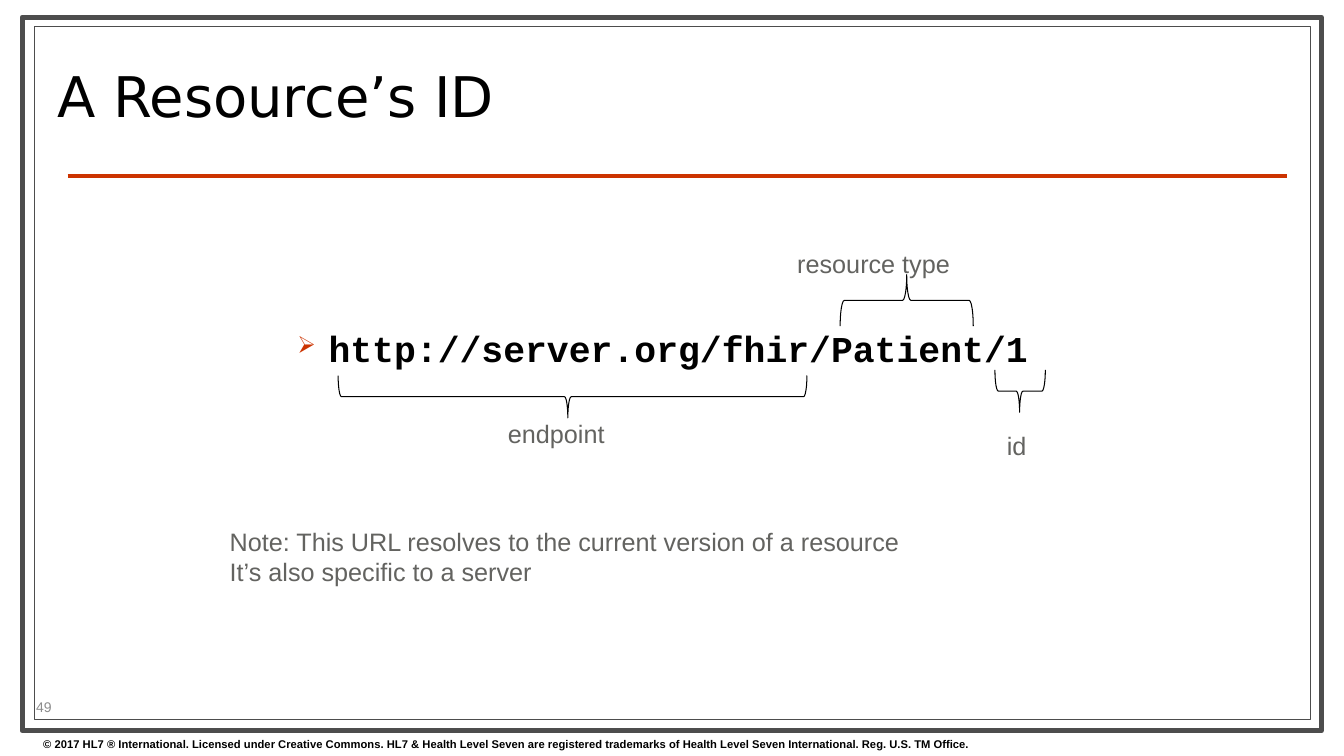
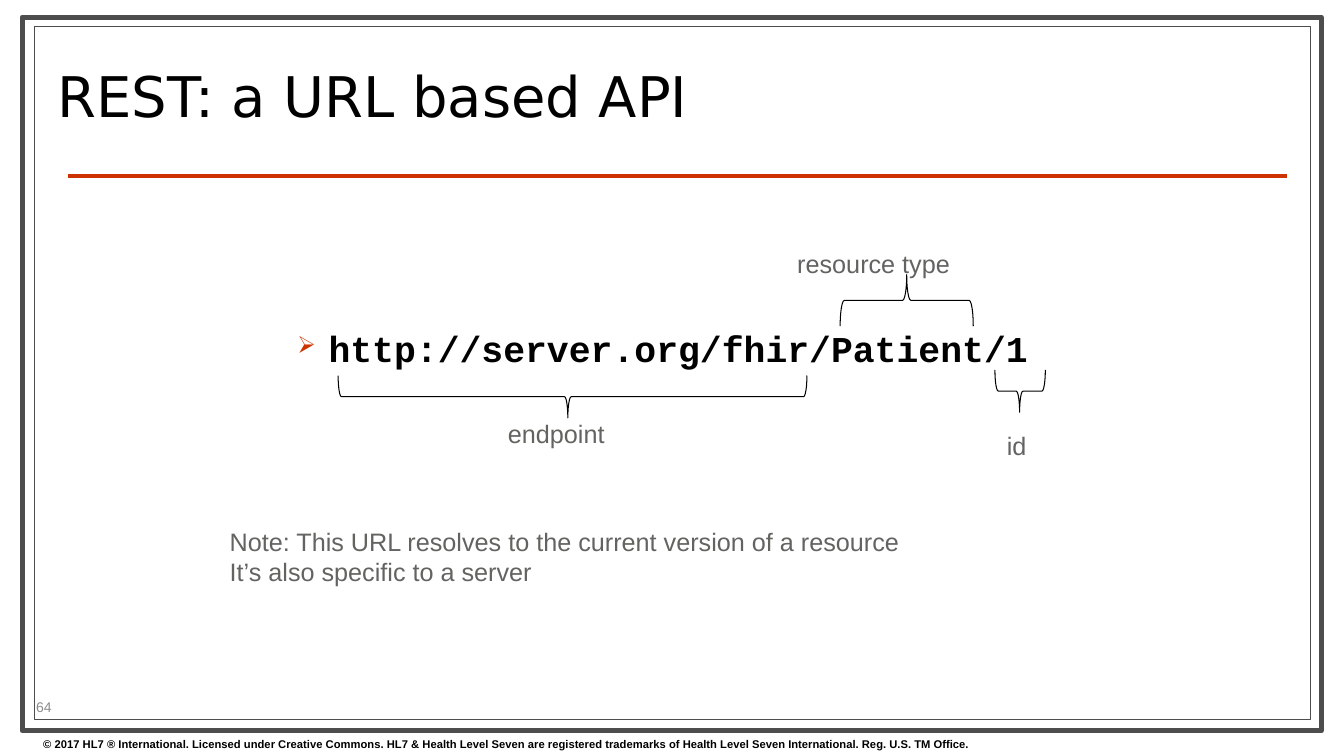
from lxml import etree
from pptx import Presentation
from pptx.dml.color import RGBColor
from pptx.enum.shapes import MSO_CONNECTOR, MSO_SHAPE
from pptx.enum.text import MSO_ANCHOR
from pptx.oxml import parse_xml
from pptx.oxml.ns import qn
from pptx.util import Inches, Pt

BLACK = RGBColor(0x00, 0x00, 0x00)
WHITE = RGBColor(0xFF, 0xFF, 0xFF)
FRAME_GRAY = RGBColor(0x4D, 0x4D, 0x4D)
LABEL_GRAY = RGBColor(0x63, 0x63, 0x60)
NUMBER_GRAY = RGBColor(0x8C, 0x8C, 0x8C)
ACCENT = RGBColor(0xCC, 0x33, 0x00)
RECTANGLE, BRACE = MSO_SHAPE.RECTANGLE, MSO_SHAPE.LEFT_BRACE
STRAIGHT = MSO_CONNECTOR.STRAIGHT
TOP, MIDDLE = MSO_ANCHOR.TOP, MSO_ANCHOR.MIDDLE

TITLES = [("A Resource’s ID", "49"), ("REST: a URL based API", "64")]
COPYRIGHT = (
    "© 2017 HL7 ® International. Licensed under Creative Commons. "
    "HL7 & Health Level Seven are registered trademarks of "
    "Health Level Seven International. Reg. U.S. TM Office."
)
URL = "http://server.org/fhir/Patient/1"
NOTE = [
    "Note: This URL resolves to the current version of a resource",
    "It’s also specific to a server",
]

# All areas are left, top, width, height in percent of the slide
FRAMES = [((1.65, 2.27, 96.68, 94.4), 3.5), ((2.55, 3.47, 94.95, 91.73), 0.75)]
POINT_UP, POINT_DOWN = (90, 0.5), (270, 0.49)
BRACES = [
    ((25.16, 49.67, 34.88, 5.6), POINT_DOWN),
    ((62.51, 36.33, 9.9, 6.8), POINT_UP),
    ((74.03, 48.93, 3.75, 5.6), POINT_DOWN),
]
LABELS = [
    ((37.05, 54.67, 8.78, 5.33), ["endpoint"]),
    ((58.58, 32.13, 12.98, 5.33), ["resource type"]),
    ((74.18, 56.27, 3, 5.33), ["id"]),
    ((16.35, 68.93, 51.83, 9.47), NOTE),
]
BULLET = (
    '<a:buClr {ns}><a:srgbClr val="CC3300"/></a:buClr>',
    '<a:buSzPct {ns} val="65000"/>',
    '<a:buChar {ns} char="➢"/>',
)
DRAWING_NS = 'xmlns:a="http://schemas.openxmlformats.org/drawingml/2006/main"'

prs = Presentation()
prs.slide_width, prs.slide_height = Inches(13.33), Inches(7.5)


def place(left, top, width, height):
    """Turn percent of the slide into lengths."""
    across, down = prs.slide_width / 100, prs.slide_height / 100
    return round(left * across), round(top * down), round(width * across), round(height * down)


def add_text(slide, area, lines, size, color, font="Arial", bold=False, anchor=TOP, wrap=True):
    frame = slide.shapes.add_textbox(*place(*area)).text_frame
    frame.word_wrap = wrap
    frame.vertical_anchor = anchor
    for index, line in enumerate(lines):
        paragraph = frame.add_paragraph() if index else frame.paragraphs[0]
        run = paragraph.add_run()
        run.text = line
        run.font.name, run.font.size, run.font.bold = font, Pt(size), bold
        run.font.color.rgb = color
    return frame.paragraphs[0]


for title, number in TITLES:
    slide = prs.slides.add_slide(prs.slide_layouts[6])

    for area, weight in FRAMES:
        border = slide.shapes.add_shape(RECTANGLE, *place(*area))
        border.shadow.inherit = False
        border.fill.solid()
        border.fill.fore_color.rgb = WHITE
        border.line.color.rgb = FRAME_GRAY
        border.line.width = Pt(weight)

    left, top, width, _ = place(5.03, 23.33, 90.75, 0)
    title_rule = slide.shapes.add_connector(STRAIGHT, left, top, left + width, top)
    title_rule.line.color.rgb = ACCENT
    title_rule.line.width = Pt(3)
    etree.SubElement(title_rule._element.spPr, qn("a:effectLst"))

    add_text(slide, (2.48, 96.93, 97.5, 3.07), [COPYRIGHT], 8, BLACK, bold=True)
    heading = add_text(slide, (3.53, 4.8, 71.63, 17.2), [title], 40, BLACK,
                       font="DejaVu Sans", anchor=MIDDLE)
    heading.line_spacing = 0.8

    address = add_text(slide, (17.63, 42.53, 60.68, 6.8), [URL], 26, BLACK,
                       font="Courier New", bold=True)
    properties = address._p.get_or_add_pPr()
    properties.set("marL", str(Inches(0.81)))
    properties.set("indent", str(Inches(-0.31)))
    for element in BULLET:
        properties.append(parse_xml(element.format(ns=DRAWING_NS)))

    for area, (rotation, tip) in BRACES:
        left, top, span, depth = place(*area)
        # The upright brace shares its centre with the turned one
        shift = (span - depth) // 2
        brace = slide.shapes.add_shape(BRACE, left + shift, top - shift, depth, span)
        brace.rotation = rotation
        brace.adjustments[0], brace.adjustments[1] = 0.08, tip
        brace.shadow.inherit = False
        brace.fill.background()
        brace.line.color.rgb = BLACK
        brace.line.width = Pt(0.75)

    for area, lines in LABELS:
        add_text(slide, area, lines, 18, LABEL_GRAY, wrap=False)

    add_text(slide, (1.95, 91.87, 7.88, 3.2), [number], 10, NUMBER_GRAY, anchor=MIDDLE)

prs.save("out.pptx")
